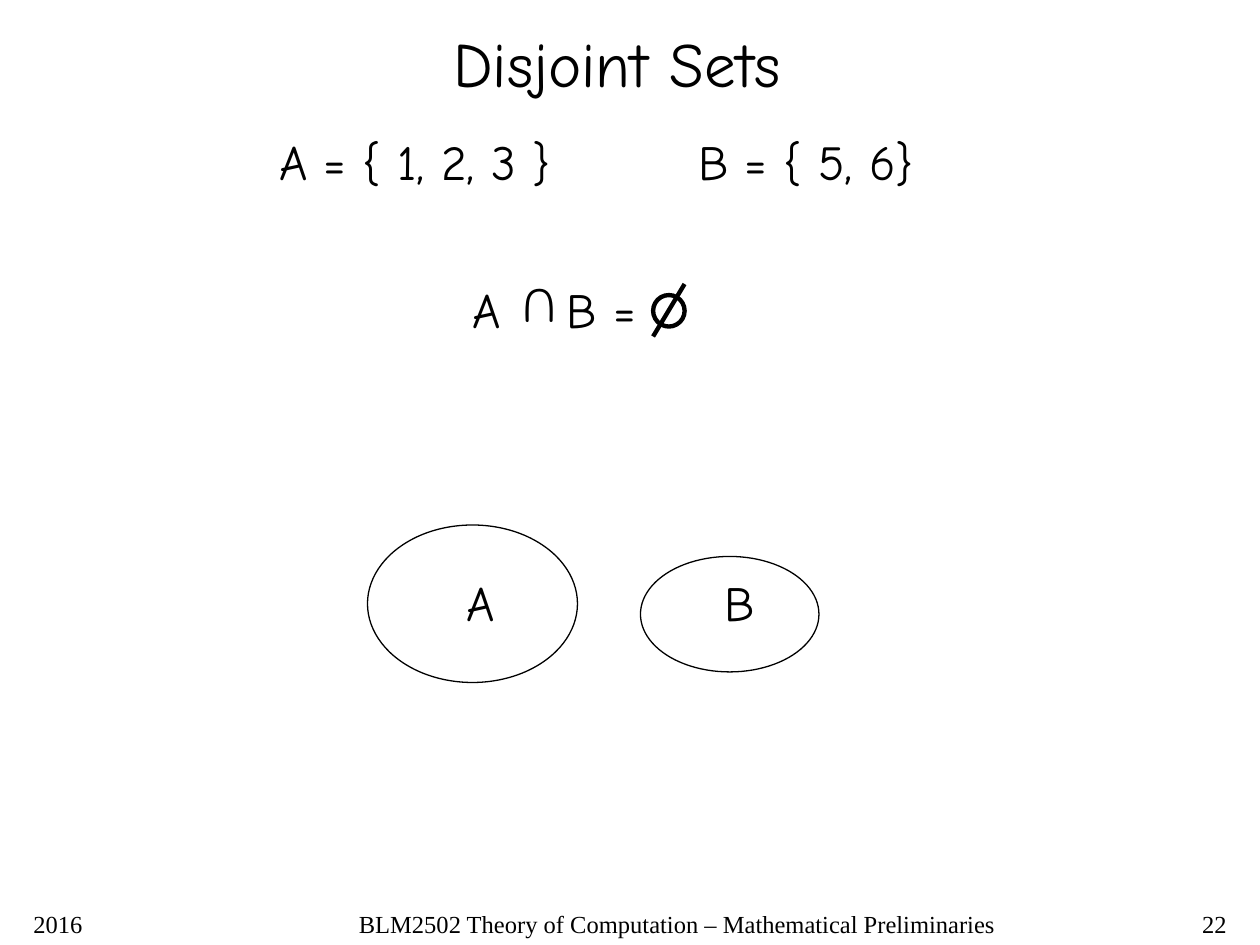
from lxml.etree import SubElement as Sub
from pptx import Presentation
from pptx.dml.color import RGBColor
from pptx.enum.shapes import MSO_CONNECTOR as Link, MSO_SHAPE as Form
from pptx.enum.text import PP_ALIGN as Align
from pptx.oxml.ns import qn
from pptx.util import Inches, Pt

BLACK = RGBColor(0, 0, 0)
COLS, ROWS = 120, 90
CELL = Inches(10) / COLS
HAND, SERIF = "Comic Neue", "Times New Roman"


def grid(*cells):
    return [round(cell * CELL) for cell in cells]


def put_text(slide, text, area, size=28, face=HAND, align=Align.LEFT, tab=None):
    box = slide.shapes.add_textbox(*grid(*area))
    frame = box.text_frame
    frame.word_wrap = True
    para = frame.paragraphs[0]
    para.text = text
    para.alignment = align
    if tab:
        stops = Sub(para._p.get_or_add_pPr(), qn("a:tabLst"))
        Sub(stops, qn("a:tab"), pos=str(grid(tab)[0]), algn="l")
    font = para.font
    font.name, font.size = face, Pt(size)
    font.color.rgb = BLACK
    return box


def put_oval(slide, area, width=0.75):
    oval = slide.shapes.add_shape(Form.OVAL, *grid(*area))
    oval.shadow.inherit = False
    oval.fill.background()
    oval.line.color.rgb = BLACK
    oval.line.width = Pt(width)


def put_line(slide, ends, width):
    line = slide.shapes.add_connector(Link.STRAIGHT, *grid(*ends))
    line.line.color.rgb = BLACK
    line.line.width = Pt(width)
    Sub(line._element.spPr, qn("a:effectLst"))


def put_foot(slide):
    parts = [
        ("22", 93, 25, Align.RIGHT),
        ("2016", 2, 21, Align.LEFT),
        ("BLM2502 Theory of Computation – Mathematical Preliminaries", 28, 73, Align.CENTER),
    ]
    for text, left, width, align in parts:
        put_text(slide, text, (left, ROWS - 4, width, 4), 14, SERIF, align)


def put_meet(slide):
    put_text(slide, "A\tB =", (43.82, 26, 23, 6.8), tab=8.98)
    cap = put_text(slide, "U", (48.2, 26, 6, 6.8))
    cap.rotation = 180
    put_oval(slide, (62.2, 28.1, 3, 3), 2.5)
    put_line(slide, (65.2, 27.05, 62.2, 32.05), 2.5)


def main():
    deck = Presentation()
    deck.slide_width, deck.slide_height = grid(COLS, ROWS)
    slide = deck.slides.add_slide(deck.slide_layouts[6])
    put_text(slide, "Disjoint Sets", (42, 1.7, 34.5, 8.4), 36)
    put_text(slide, "A = { 1, 2, 3 }\tB = { 5, 6}", (25.4, 11.9, 65, 6.8), tab=39.9)
    put_meet(slide)
    put_oval(slide, (35, 50, 20, 15))
    put_oval(slide, (61, 53, 17, 11))
    put_text(slide, "A", (43.2, 53.9, 5.2, 6.8))
    put_text(slide, "B", (67.8, 53.9, 5.4, 6.8))
    put_foot(slide)
    deck.save("out.pptx")


if __name__ == "__main__":
    main()
